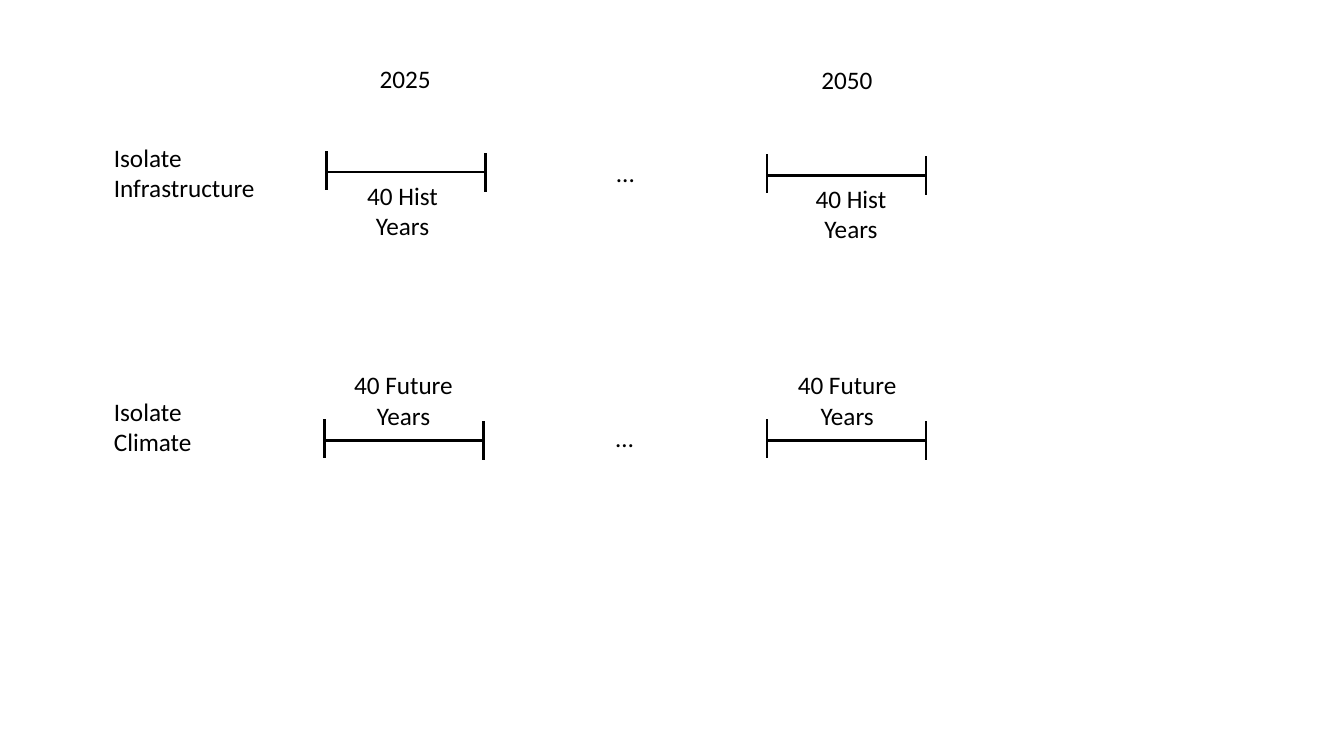
from lxml.etree import SubElement
from pptx import Presentation
from pptx.dml.color import RGBColor
from pptx.enum.shapes import MSO_CONNECTOR
from pptx.enum.text import MSO_AUTO_SIZE, PP_ALIGN
from pptx.oxml.ns import qn
from pptx.util import Cm, Pt

COLORS = {"ink": "000000"}
FONT = "Calibri"
SPAN_WIDTH = 4.01
TICK_HEIGHT = 0.97
LEFT_TICK_RISE = 0.53
RIGHT_TICK_RISE = 0.48
LINE_HEIGHTS = {1: 1.02, 2: 1.8}


def add_text(page, text, left, top, width, align=PP_ALIGN.LEFT, wrap=False):
    lines = text.split("\n")
    box = page.shapes.add_textbox(
        Cm(left), Cm(top), Cm(width), Cm(LINE_HEIGHTS[len(lines)]))
    frame = box.text_frame
    frame.word_wrap = wrap
    frame.auto_size = MSO_AUTO_SIZE.SHAPE_TO_FIT_TEXT
    for index, line in enumerate(lines):
        para = frame.add_paragraph() if index else frame.paragraphs[0]
        para.alignment = align
        span = para.add_run()
        span.text = line
        span.font.name = FONT
        span.font.size = Pt(18)
        span.font.color.rgb = RGBColor.from_string(COLORS["ink"])


def add_line(group, x1, y1, x2, y2):
    line = group.shapes.add_connector(
        MSO_CONNECTOR.STRAIGHT, Cm(x1), Cm(y1), Cm(x2), Cm(y2))
    line.line.width = Pt(1.75)
    line.line.color.rgb = RGBColor.from_string(COLORS["ink"])
    SubElement(line._element.spPr, qn("a:effectLst"))


def add_year_range(page, left, middle):
    """Draw a horizontal bar closed by a tick at each end, as one group."""
    group = page.shapes.add_group_shape()
    right = left + SPAN_WIDTH
    add_line(group, left, middle, right, middle)
    for x, rise in ((right, RIGHT_TICK_RISE), (left, LEFT_TICK_RISE)):
        add_line(group, x, middle - rise, x, middle - rise + TICK_HEIGHT)


def main():
    deck = Presentation()
    deck.slide_width, deck.slide_height = Cm(33.87), Cm(19.05)
    page = deck.slides.add_slide(deck.slide_layouts[6])

    add_text(page, "Isolate\nInfrastructure", 2.62, 3.45, 4.09)
    add_text(page, "Isolate\nClimate", 2.62, 9.86, 2.49)
    add_text(page, "2025", 9.32, 1.47, 1.8)
    add_text(page, "2050", 20.45, 1.5, 1.8)
    add_text(page, "...", 15.27, 3.84, 3.33, wrap=True)
    add_text(page, "…", 15.27, 10.52, 0.97)

    for left, middle in ((8.23, 4.34), (19.33, 4.42), (19.33, 11.1), (8.18, 11.1)):
        add_year_range(page, left, middle)

    for text, left, top, width in (
        ("40 Future\nYears", 8.66, 9.19, 3.02),
        ("40 Hist\nYears", 8.99, 4.42, 2.31),
        ("40 Hist\nYears", 20.29, 4.5, 2.31),
        ("40 Future\nYears", 19.84, 9.19, 3.02),
    ):
        add_text(page, text, left, top, width, align=PP_ALIGN.CENTER)

    deck.save("out.pptx")


if __name__ == "__main__":
    main()
